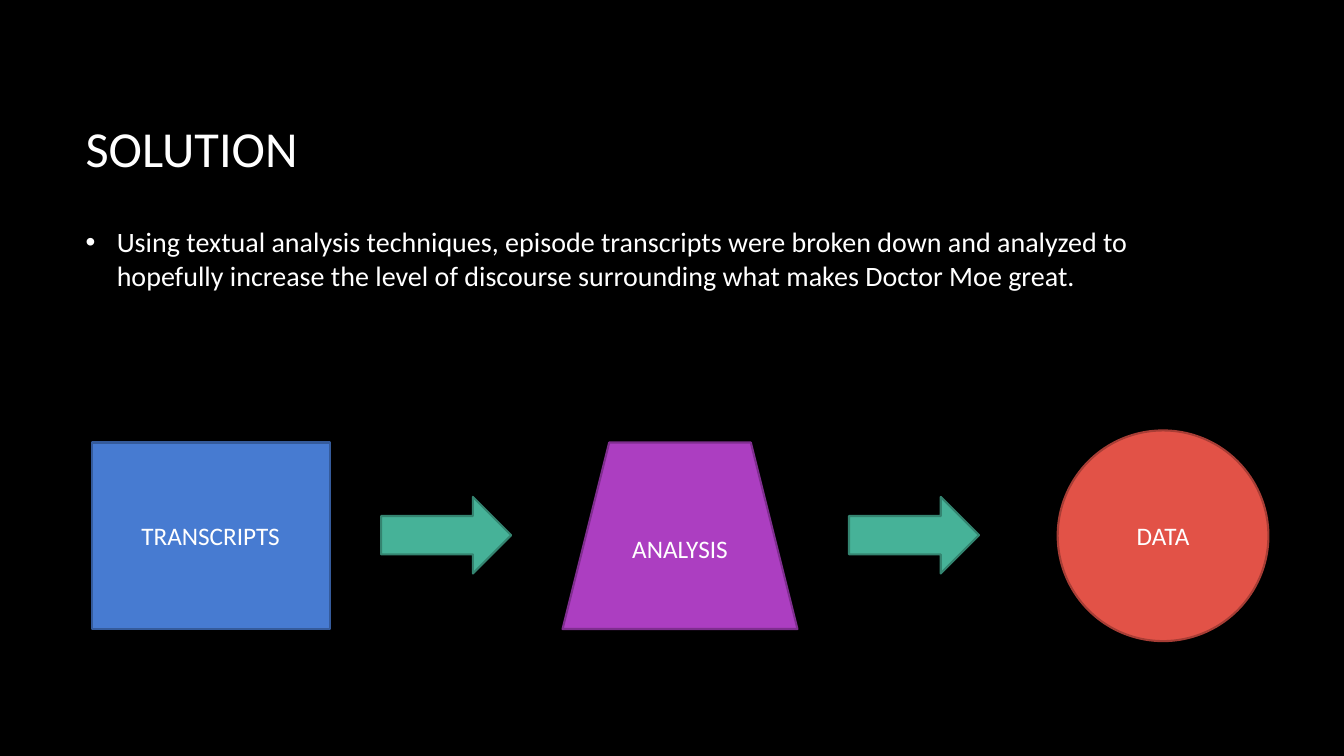
from dataclasses import dataclass

from lxml import etree
from pptx import Presentation
from pptx import util as u
from pptx.dml.color import RGBColor
from pptx.enum import shapes, text
from pptx.oxml import ns

SHAPE = shapes.MSO_SHAPE


@dataclass(frozen=True)
class Theme:
    font: str = "Calibri"
    background: str = "000000"
    ink: str = "FFFFFF"
    blue: tuple = ("477BD1", "355B9B")
    purple: tuple = ("AC3EC1", "7F2E8F")
    red: tuple = ("E25247", "A73D35")
    green: tuple = ("46B298", "348470")
    title_size: int = 36
    body_size: int = 20
    label_size: int = 18
    outline: float = 1.5


def px(length):
    return u.Emu(length * 9144)


class SlideBuilder:
    def __init__(self, slide, theme):
        self.slide = slide
        self.theme = theme
        backdrop = slide.background.fill
        backdrop.solid()
        backdrop.fore_color.rgb = RGBColor.from_string(theme.background)

    def set_text(self, frame, words, size, align):
        frame.word_wrap = True
        frame.vertical_anchor = text.MSO_ANCHOR.MIDDLE
        paragraph = frame.paragraphs[0]
        paragraph.alignment = align
        run = paragraph.add_run()
        run.text = words
        run.font.name = self.theme.font
        run.font.size = u.Pt(size)
        run.font.color.rgb = RGBColor.from_string(self.theme.ink)
        return paragraph

    def textbox(self, box, words, size):
        frame = self.slide.shapes.add_textbox(*map(px, box)).text_frame
        return self.set_text(frame, words, size, text.PP_ALIGN.LEFT)

    def bullet(self, box, words, size, indent=31):
        paragraph = self.textbox(box, words, size)
        paragraph.space_after = u.Pt(10)
        properties = paragraph._p.get_or_add_pPr()
        properties.set("marL", str(px(indent)))
        properties.set("indent", str(px(-indent)))
        etree.SubElement(properties, ns.qn("a:buFont"), typeface="Arial")
        etree.SubElement(properties, ns.qn("a:buChar"), char="•")

    def block(self, kind, box, colors, label=None):
        fill, line = map(RGBColor.from_string, colors)
        block = self.slide.shapes.add_shape(kind, *map(px, box))
        block.shadow.inherit = False
        block.fill.solid()
        block.fill.fore_color.rgb = fill
        block.line.color.rgb = line
        block.line.width = u.Pt(self.theme.outline)
        if label:
            self.set_text(block.text_frame, label, self.theme.label_size,
                          text.PP_ALIGN.CENTER)


def main():
    theme = Theme()
    deck = Presentation()
    deck.slide_width, deck.slide_height = px(1333), px(750)
    solution = SlideBuilder(deck.slides.add_slide(deck.slide_layouts[6]), theme)

    solution.textbox((75, 67, 1108, 159), "SOLUTION", theme.title_size)
    solution.bullet(
        (75, 181, 1108, 151),
        "Using textual analysis techniques, episode transcripts were broken "
        "down and analyzed to hopefully increase the level of discourse "
        "surrounding what makes Doctor Moe great.",
        theme.body_size,
    )

    axis = 531
    pipeline = [
        (SHAPE.RECTANGLE, 91, 236, 185, theme.blue, "TRANSCRIPTS"),
        (SHAPE.RIGHT_ARROW, 378, 129, 76, theme.green, None),
        (SHAPE.TRAPEZOID, 558, 233, 185, theme.purple, "ANALYSIS"),
        (SHAPE.RIGHT_ARROW, 842, 129, 76, theme.green, None),
        (SHAPE.OVAL, 1049, 209, 209, theme.red, "DATA"),
    ]
    for kind, left, width, height, colors, label in pipeline:
        top = axis - height // 2
        solution.block(kind, (left, top, width, height), colors, label)

    deck.save("out.pptx")


if __name__ == "__main__":
    main()
